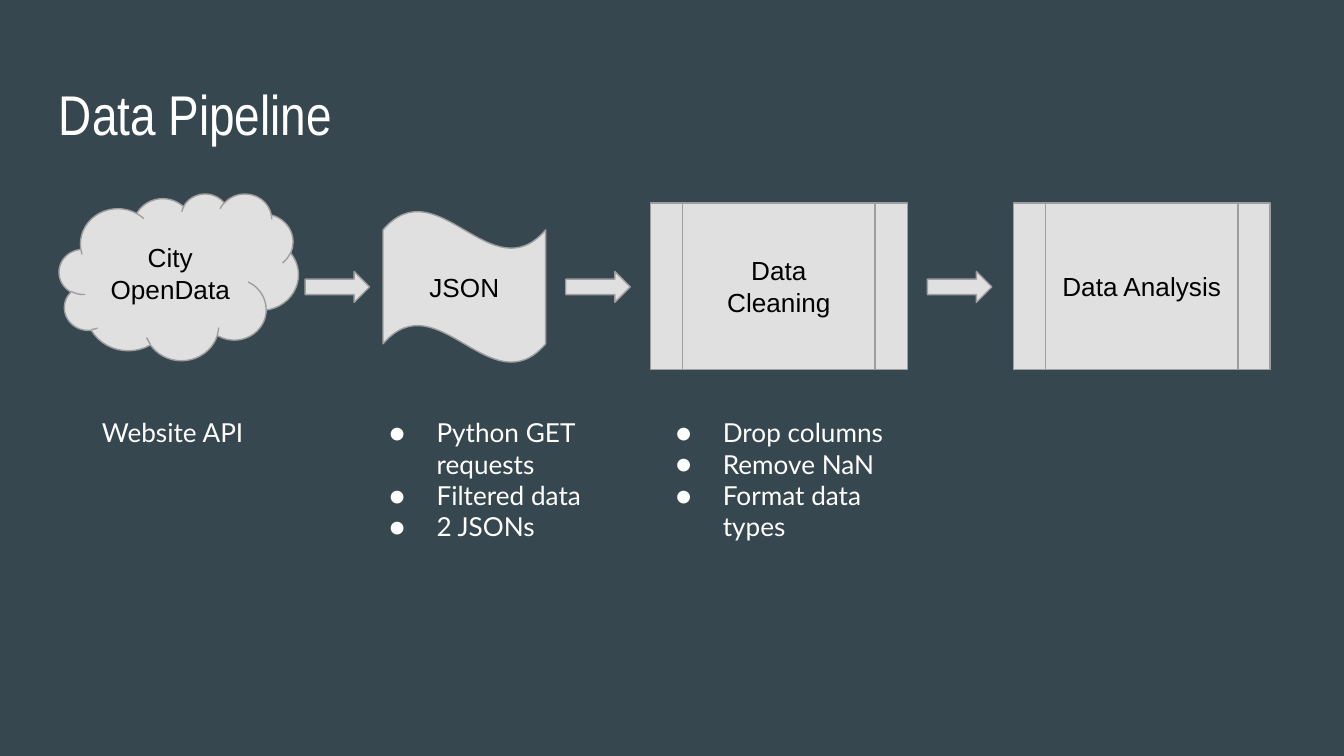
from dataclasses import dataclass

from lxml.etree import SubElement
from pptx import Presentation
from pptx.dml.color import RGBColor
from pptx.enum.shapes import MSO_SHAPE
from pptx.enum.text import MSO_ANCHOR, MSO_AUTO_SIZE, PP_ALIGN
from pptx.oxml.ns import qn
from pptx.util import Inches, Pt


@dataclass(frozen=True)
class Theme:
    background: RGBColor = RGBColor(0x37, 0x47, 0x4F)
    fill: RGBColor = RGBColor(0xE0, 0xE0, 0xE0)
    line: RGBColor = RGBColor(0x9E, 0x9E, 0x9E)
    dark: RGBColor = RGBColor(0, 0, 0)
    light: RGBColor = RGBColor(0xFF, 0xFF, 0xFF)
    title_size: Pt = Pt(30)
    body_size: Pt = Pt(14)
    line_width: Pt = Pt(0.75)
    title_font: str = "Arial Narrow"
    shape_font: str = "Arial"
    note_font: str = "Lato"


@dataclass(frozen=True)
class Box:
    left: float
    top: float
    width: float
    height: float

    def emu(self) -> list:
        return [Inches(v) for v in (self.left, self.top, self.width, self.height)]


@dataclass(frozen=True)
class Step:
    label: str
    kind: MSO_SHAPE
    box: Box
    arrow_gap: float = 0.15


@dataclass(frozen=True)
class Note:
    lines: tuple
    box: Box
    bulleted: bool = True


THEME = Theme()
WIDTH = 10
HEIGHT = WIDTH * 9 / 16
TEXT_INSET, LABEL_INSET = 0.1, 0.11
ARROW_TOP, ARROW_WIDTH, ARROW_HEIGHT = 2.02, 0.48, 0.23
STEPS = (
    Step("City OpenData", MSO_SHAPE.CLOUD, Box(0.44, 1.44, 1.78, 1.24), arrow_gap=0.05),
    Step("JSON", MSO_SHAPE.WAVE, Box(2.85, 1.57, 1.21, 1.13)),
    Step("Data Cleaning", MSO_SHAPE.FLOWCHART_PREDEFINED_PROCESS, Box(4.84, 1.51, 1.91, 1.24)),
    Step("Data Analysis", MSO_SHAPE.FLOWCHART_PREDEFINED_PROCESS, Box(7.54, 1.51, 1.91, 1.24)),
)
NOTES = (
    Note(("Website API",), Box(0.66, 3, 1.61, 0.44), bulleted=False),
    Note(("Python GET requests", "Filtered data", "2 JSONs"), Box(2.65, 3, 2.04, 1.14)),
    Note(("Drop columns", "Remove NaN", "Format data types"), Box(4.78, 3, 2.04, 1.14)),
)


def write(tf, lines: tuple, font: dict, color: RGBColor,
          align=PP_ALIGN.LEFT, inset: float = TEXT_INSET) -> None:
    frame = {"word_wrap": True, "margin_top": Inches(TEXT_INSET),
             "margin_bottom": Inches(TEXT_INSET),
             "margin_left": Inches(inset), "margin_right": Inches(inset)}
    for name, value in frame.items():
        setattr(tf, name, value)
    for i, line in enumerate(lines):
        p = tf.add_paragraph() if i else tf.paragraphs[0]
        p.alignment = align
        r = p.add_run()
        r.text = line
        for name, value in font.items():
            setattr(r.font, name, value)
        r.font.color.rgb = color


def add_bullet(p) -> None:
    props = p._p.get_or_add_pPr()
    props.set("marL", str(Inches(0.5)))
    props.set("indent", str(Inches(-0.35)))
    color = SubElement(props, qn("a:buClr"))
    SubElement(color, qn("a:srgbClr")).set("val", str(THEME.light))
    SubElement(props, qn("a:buSzPts")).set("val", str(int(THEME.body_size.pt * 100)))
    SubElement(props, qn("a:buFont")).set("typeface", THEME.note_font)
    SubElement(props, qn("a:buChar")).set("char", "●")


def add_block(s, kind: MSO_SHAPE, box: Box):
    sp = s.shapes.add_shape(kind, *box.emu())
    sp.shadow.inherit = False
    sp.fill.solid()
    sp.fill.fore_color.rgb = THEME.fill
    sp.line.color.rgb = THEME.line
    sp.line.width = THEME.line_width
    return sp


def add_step(s, step: Step) -> None:
    tf = add_block(s, step.kind, step.box).text_frame
    tf.vertical_anchor = MSO_ANCHOR.MIDDLE
    font = {"name": THEME.shape_font, "size": THEME.body_size}
    write(tf, (step.label,), font, THEME.dark, PP_ALIGN.CENTER, LABEL_INSET)


def add_arrow_after(s, step: Step) -> None:
    left = step.box.left + step.box.width + step.arrow_gap
    add_block(s, MSO_SHAPE.RIGHT_ARROW, Box(left, ARROW_TOP, ARROW_WIDTH, ARROW_HEIGHT))


def add_title(s, text: str, box: Box) -> None:
    tf = s.shapes.add_textbox(*box.emu()).text_frame
    write(tf, (text,), {"name": THEME.title_font, "size": THEME.title_size}, THEME.light)


def add_note(s, note: Note) -> None:
    tf = s.shapes.add_textbox(*note.box.emu()).text_frame
    write(tf, note.lines, {"name": THEME.note_font, "size": THEME.body_size}, THEME.light)
    tf.auto_size = MSO_AUTO_SIZE.SHAPE_TO_FIT_TEXT
    if note.bulleted:
        for p in tf.paragraphs:
            add_bullet(p)


def main() -> None:
    prs = Presentation()
    prs.slide_width, prs.slide_height = Inches(WIDTH), Inches(HEIGHT)
    s = prs.slides.add_slide(prs.slide_layouts[6])
    s.background.fill.solid()
    s.background.fill.fore_color.rgb = THEME.background
    add_title(s, "Data Pipeline", Box(0.34, 0.49, 9.32, 0.63))
    for step in STEPS:
        add_step(s, step)
    for step in STEPS[:-1]:
        add_arrow_after(s, step)
    for note in NOTES:
        add_note(s, note)
    prs.save("out.pptx")


if __name__ == "__main__":
    main()
